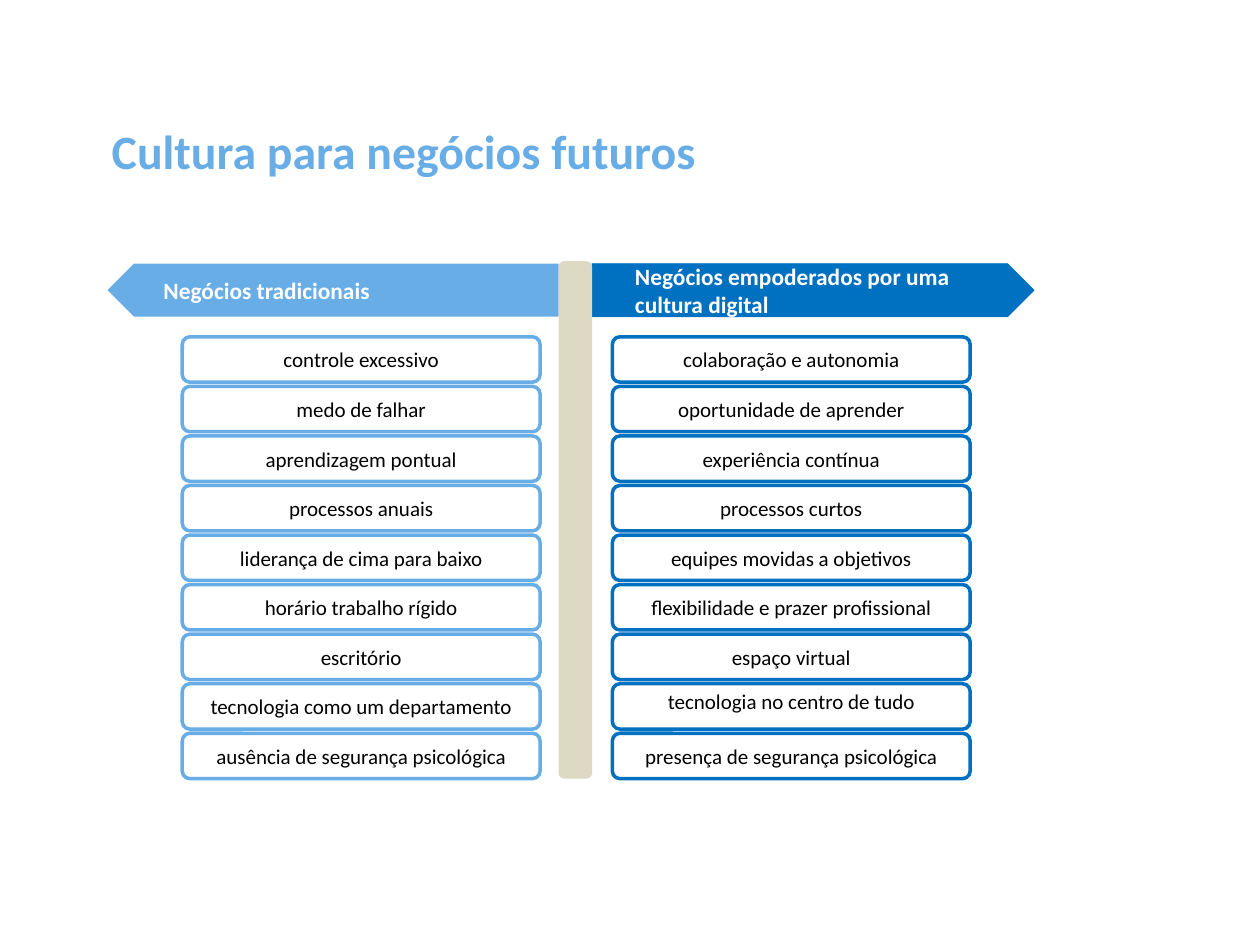
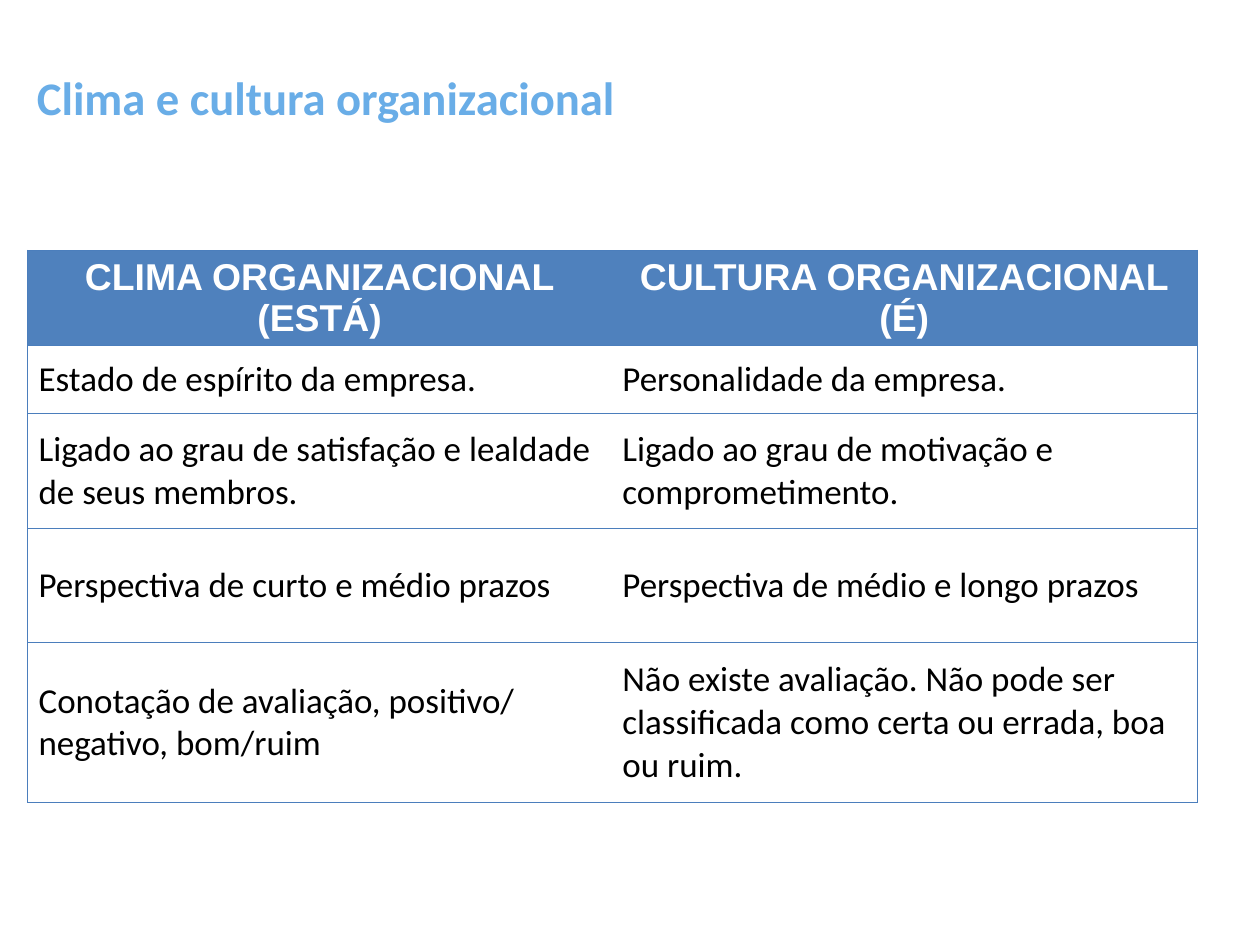
from dataclasses import dataclass
from typing import Any, Optional

from lxml.etree import SubElement
from pptx import Presentation
from pptx.dml.color import RGBColor
from pptx.enum.shapes import MSO_SHAPE
from pptx.enum.text import MSO_ANCHOR, MSO_AUTO_SIZE, PP_ALIGN
from pptx.oxml.ns import qn
from pptx.util import Inches, Pt

COLORS = {
    "sky": "69ADE7",
    "blue": "0070C0",
    "sand": "DDD9C3",
    "header": "4F81BD",
    "border": "4B7EBC",
    "white": "FFFFFF",
    "black": "000000",
}
TITLE_FONT = {"name": "Calibri", "bold": True}
ITEM_FONT = {"name": "Calibri", "size": Pt(18), "bold": False}
HEADING_FONT = {"name": "Calibri", "size": Pt(20), "bold": True}
HEADER_CELL_FONT = {"name": "Arial", "size": Pt(32), "bold": True}
BODY_CELL_FONT = {"name": "Calibri", "size": Pt(30), "bold": False}
TITLE_FRAME = {
    "word_wrap": True,
    "auto_size": MSO_AUTO_SIZE.NONE,
    "vertical_anchor": MSO_ANCHOR.TOP,
}
SHAPE_FRAME = {
    "word_wrap": True,
    "vertical_anchor": MSO_ANCHOR.MIDDLE,
    "margin_left": Inches(0.07),
    "margin_right": Inches(0.07),
    "margin_top": Inches(0.04),
    "margin_bottom": Inches(0.04),
}
HEADING_FRAME = {**SHAPE_FRAME, "margin_left": Inches(0.51)}
CELL_FRAME = {
    "vertical_anchor": MSO_ANCHOR.MIDDLE,
    "margin_left": Inches(0.13),
    "margin_right": Inches(0.13),
    "margin_top": Inches(0.07),
    "margin_bottom": Inches(0.07),
}

ITEM_TOP, ITEM_STEP, ITEM_WIDTH, ITEM_HEIGHT = 4.01, 0.59, 4.26, 0.54


@dataclass(frozen=True)
class Box:
    left: float
    top: float
    width: float
    height: float

    def lengths(self) -> list:
        return [Inches(v) for v in (self.left, self.top, self.width, self.height)]


@dataclass(frozen=True)
class Side:
    heading: str
    arrow: Box
    points_left: bool
    color: str
    items_left: float
    items: tuple


SIDES = (
    Side("Negócios tradicionais", Box(1.28, 3.14, 5.37, 0.63), True, "sky", 2.17, (
        "controle excessivo",
        "medo de falhar",
        "aprendizagem pontual",
        "processos anuais",
        "liderança de cima para baixo",
        "horário trabalho rígido",
        "escritório",
        "tecnologia como um departamento",
        "ausência de segurança psicológica",
    )),
    Side("Negócios empoderados por uma cultura digital",
         Box(7.05, 3.14, 5.26, 0.63), False, "blue", 7.29, (
             "colaboração e autonomia",
             "oportunidade de aprender",
             "experiência contínua",
             "processos curtos",
             "equipes movidas a objetivos",
             "flexibilidade e prazer profissional",
             "espaço virtual",
             "tecnologia no centro de tudo",
             "presença de segurança psicológica",
         )),
)
TIGHT_ITEM = "tecnologia no centro de tudo"

COMPARISON = (
    ("CLIMA ORGANIZACIONAL (ESTÁ)", "CULTURA ORGANIZACIONAL (É)"),
    ("Estado de espírito da empresa.", "Personalidade da empresa."),
    ("Ligado ao grau de satisfação e lealdade de seus membros.",
     "Ligado ao grau de motivação e comprometimento."),
    ("Perspectiva de curto e médio prazos", "Perspectiva de médio e longo prazos"),
    ("Conotação de avaliação, positivo/ negativo, bom/ruim",
     "Não existe avaliação. Não pode ser classificada como certa ou errada, boa ou ruim."),
)
COLUMN_WIDTHS = (6.95, 6.97)
ROW_HEIGHTS = (0.99, 0.81, 1.36, 1.36, 1.91)


def rgb(color: str) -> RGBColor:
    return RGBColor.from_string(COLORS[color])


def apply(target: Any, values: dict) -> None:
    for attribute, value in values.items():
        setattr(target, attribute, value)


def write(frame: Any, text: str, font: dict, color: str, align: PP_ALIGN) -> Any:
    frame.text = text
    paragraph = frame.paragraphs[0]
    paragraph.alignment = align
    paragraph.space_before = Pt(0)
    apply(paragraph.font, font)
    paragraph.font.color.rgb = rgb(color)
    return paragraph


def add_titled_slide(deck: Any, text: str, box: Box, size: int, margins: tuple) -> Any:
    slide = deck.slides.add_slide(deck.slide_layouts[5])
    title = slide.shapes.title
    title.left, title.top, title.width, title.height = box.lengths()
    frame = title.text_frame
    apply(frame, TITLE_FRAME)
    frame.margin_left = frame.margin_right = Inches(margins[0])
    frame.margin_top = frame.margin_bottom = Inches(margins[1])
    write(frame, text, {**TITLE_FONT, "size": Pt(size)}, "sky", PP_ALIGN.LEFT)
    return slide


def add_block(slide: Any, kind: MSO_SHAPE, box: Box, fill: str,
              line: Optional[str] = None, weight: float = 0) -> Any:
    block = slide.shapes.add_shape(kind, *box.lengths())
    block.shadow.inherit = False
    block.fill.solid()
    block.fill.fore_color.rgb = rgb(fill)
    if line:
        block.line.color.rgb = rgb(line)
        block.line.width = Pt(weight)
    else:
        block.line.fill.background()
    return block


def add_side(slide: Any, side: Side) -> None:
    outline = None if side.points_left else side.color
    arrow = add_block(slide, MSO_SHAPE.PENTAGON, side.arrow, side.color, outline, 0.75)
    if side.points_left:
        arrow._element.spPr.find(qn("a:xfrm")).set("flipH", "1")
    apply(arrow.text_frame, HEADING_FRAME)
    write(arrow.text_frame, side.heading, HEADING_FONT, "white", PP_ALIGN.LEFT)
    for index, text in enumerate(side.items):
        box = Box(side.items_left, ITEM_TOP + index * ITEM_STEP, ITEM_WIDTH, ITEM_HEIGHT)
        item = add_block(slide, MSO_SHAPE.FLOWCHART_ALTERNATE_PROCESS, box,
                         "white", side.color, 3)
        apply(item.text_frame, SHAPE_FRAME)
        paragraph = write(item.text_frame, text, ITEM_FONT, "black", PP_ALIGN.CENTER)
        if text == TIGHT_ITEM:
            paragraph.line_spacing = Pt(12)


def set_borders(cell: Any, visible: dict) -> None:
    properties = cell._tc.get_or_add_tcPr()
    for edge, shown in visible.items():
        line = SubElement(properties, qn(f"a:ln{edge}"), w=str(Pt(0.75)))
        if shown:
            fill = SubElement(line, qn("a:solidFill"))
            SubElement(fill, qn("a:srgbClr"), val=COLORS["border"])
        else:
            SubElement(line, qn("a:noFill"))


def add_comparison(slide: Any, box: Box) -> None:
    columns = len(COLUMN_WIDTHS)
    table = slide.shapes.add_table(len(COMPARISON), columns, *box.lengths()).table
    table.horz_banding = False
    for column, width in zip(table.columns, COLUMN_WIDTHS):
        column.width = Inches(width)
    for row, height in zip(table.rows, ROW_HEIGHTS):
        row.height = Inches(height)
    for r, texts in enumerate(COMPARISON):
        for c, text in enumerate(texts):
            cell = table.cell(r, c)
            apply(cell, CELL_FRAME)
            set_borders(cell, {"L": c == 0, "R": c == columns - 1, "T": True, "B": True})
            if r == 0:
                cell.fill.solid()
                cell.fill.fore_color.rgb = rgb("header")
                write(cell.text_frame, text, HEADER_CELL_FONT, "white", PP_ALIGN.CENTER)
            else:
                cell.fill.background()
                write(cell.text_frame, text, BODY_CELL_FONT, "black", PP_ALIGN.LEFT)


def main() -> None:
    deck = Presentation()
    deck.slide_width, deck.slide_height = Inches(15), Inches(11.25)

    future = add_titled_slide(deck, "Cultura para negócios futuros",
                              Box(1.23, 1.4, 13.22, 0.71), 41, (0.1, 0.05))
    for side in SIDES:
        add_side(future, side)
    add_block(future, MSO_SHAPE.ROUNDED_RECTANGLE, Box(6.65, 3.11, 0.4, 6.16), "sand")

    climate = add_titled_slide(deck, "Clima e cultura organizacional",
                               Box(0.33, 0.84, 11.97, 0.98), 40, (0.11, 0.06))
    climate.shapes.title.text_frame.paragraphs[0].line_spacing = 0.9
    add_comparison(climate, Box(0.33, 2.98, 13.92, 6.41))

    deck.save("out.pptx")


if __name__ == "__main__":
    main()
